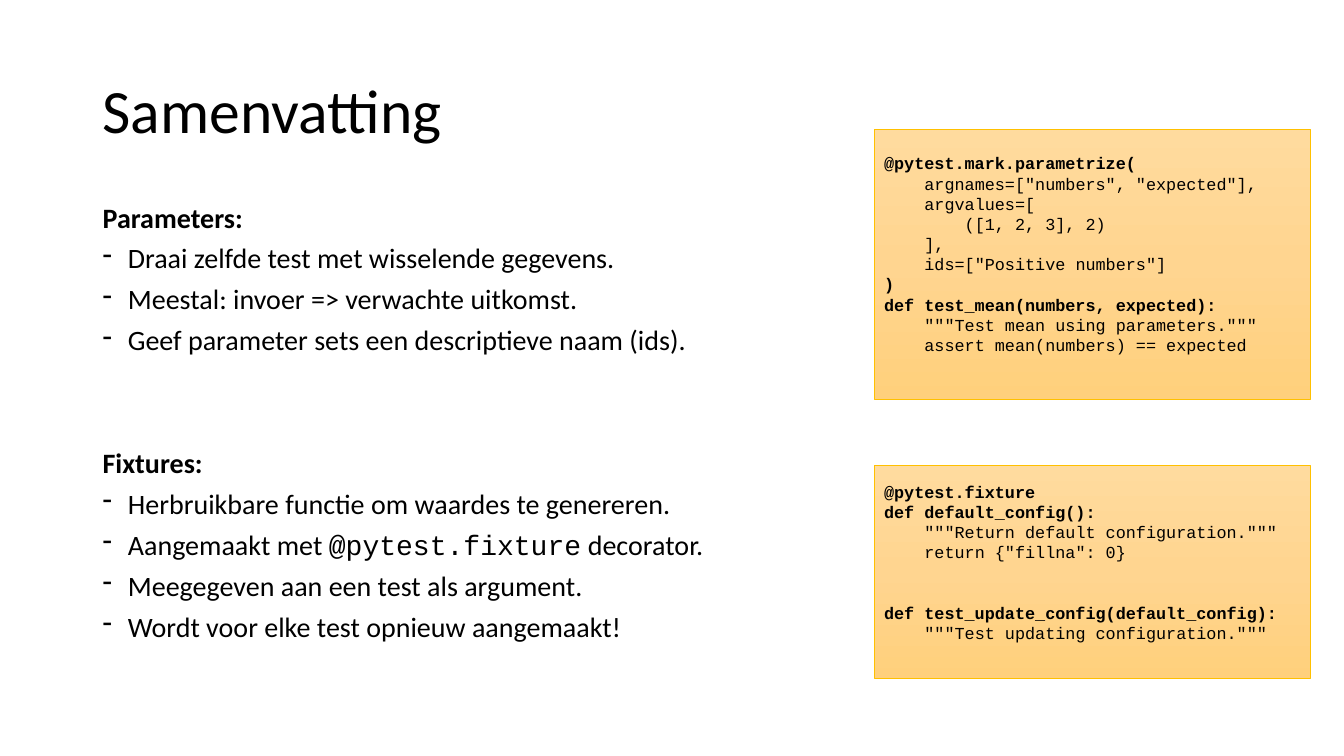
from copy import deepcopy

from lxml.etree import SubElement
from pptx import Presentation
from pptx.dml.color import RGBColor
from pptx.enum.shapes import MSO_SHAPE
from pptx.enum.text import MSO_ANCHOR, PP_ALIGN
from pptx.oxml.ns import qn
from pptx.util import Inches, Pt

TEXT_FONT, CODE_FONT = "Calibri", "Courier New"
BLACK, AMBER = "000000", "FFC000"
CODE_GRADIENT = ["FFDB9E", "FFD590", "FFD07C"]
CODE_LINE = 14.4
CODE_INDENT = 0.4

SECTIONS = [
    ("Parameters:", [
        "Draai zelfde test met wisselende gegevens.",
        "Meestal: invoer => verwachte uitkomst.",
        "Geef parameter sets een descriptieve naam (ids).",
    ]),
    ("Fixtures:", [
        "Herbruikbare functie om waardes te genereren.",
        "Aangemaakt met `@pytest.fixture` decorator.",
        "Meegegeven aan een test als argument.",
        "Wordt voor elke test opnieuw aangemaakt!",
    ]),
]

PARAMETRIZE_CODE = [[
    (0, '@pytest.mark.parametrize('),
    (1, 'argnames=["numbers", "expected"],'),
    (1, 'argvalues=['),
    (2, '([1, 2, 3], 2)'),
    (1, '],'),
    (1, 'ids=["Positive numbers"]'),
    (0, ')'),
    (0, 'def test_mean(numbers, expected):'),
    (1, '"""Test mean using parameters."""'),
    (1, 'assert mean(numbers) == expected'),
]]

FIXTURE_CODE = [
    [
        (0, '@pytest.fixture'),
        (0, 'def default_config():'),
        (1, '"""Return default configuration."""'),
        (1, 'return {"fillna": 0}'),
    ],
    [
        (0, 'def test_update_config(default_config):'),
        (1, '"""Test updating configuration."""'),
    ],
]


def rgb(value):
    """Turn a hex string into a colour."""
    return RGBColor.from_string(value)


def write(frame, text, size, font=TEXT_FONT, bold=False, spacing=1.0,
          before=0, indent=0, bullet=None):
    """Add one paragraph; parts between backticks get the code font."""
    paragraph = frame.paragraphs[0]
    if paragraph.runs:
        paragraph = frame.add_paragraph()
    paragraph.alignment = PP_ALIGN.LEFT
    paragraph.line_spacing = spacing
    paragraph.space_before = Pt(before)
    properties = paragraph._p.get_or_add_pPr()
    properties.set("marL", str(Inches(indent)))
    if bullet:
        properties.set("indent", str(-Inches(indent)))
        SubElement(properties, qn("a:buChar")).set("char", bullet)
    for position, part in enumerate(text.split("`")):
        run = paragraph.add_run()
        run.text = part
        run.font.name = CODE_FONT if position % 2 else font
        run.font.size = Pt(size)
        run.font.bold = bold
        run.font.color.rgb = rgb(BLACK)


def add_frame(slide, left, top, width, height, anchor=MSO_ANCHOR.TOP):
    """Add a wrapping text box and return its text frame."""
    box = slide.shapes.add_textbox(
        Inches(left), Inches(top), Inches(width), Inches(height))
    box.text_frame.word_wrap = True
    box.text_frame.vertical_anchor = anchor
    return box.text_frame


def add_summary(slide):
    """Add the headed lists of key points."""
    frame = add_frame(slide, 0.92, 2, 7.24, 4.76)
    for number, (heading, points) in enumerate(SECTIONS):
        write(frame, heading, 20, bold=True, spacing=0.8,
              before=68.5 if number else 10)
        for point in points:
            write(frame, point, 20, spacing=0.8, before=10,
                  indent=0.25, bullet="-")


def add_code(slide, top, height, blocks):
    """Add a shaded panel with code, its outer lines in bold."""
    panel = slide.shapes.add_shape(
        MSO_SHAPE.RECTANGLE, Inches(8.67), Inches(top), Inches(4.33), Inches(height))
    panel.shadow.inherit = False
    panel.line.color.rgb = rgb(AMBER)
    panel.line.width = Pt(0.5)
    panel.fill.gradient()
    panel.fill.gradient_angle = 270
    stops = panel._element.spPr.find(".//" + qn("a:gsLst"))
    stops.insert(1, deepcopy(stops[0]))
    for number, stop in enumerate(panel.fill.gradient_stops):
        stop.position = number / 2
        stop.color.rgb = rgb(CODE_GRADIENT[number])

    frame = panel.text_frame
    frame.word_wrap = True
    frame.vertical_anchor = MSO_ANCHOR.MIDDLE
    frame.margin_bottom = Inches(0.25)
    for block_number, block in enumerate(blocks):
        for line_number, (level, line) in enumerate(block):
            starts_later_block = block_number > 0 and line_number == 0
            write(frame, line, 12, font=CODE_FONT, bold=level == 0,
                  spacing=Pt(CODE_LINE), indent=level * CODE_INDENT,
                  before=2 * CODE_LINE if starts_later_block else 0)


def main():
    """Build the summary slide and save it."""
    presentation = Presentation()
    presentation.slide_width = Inches(13.33)
    presentation.slide_height = Inches(7.5)
    slide = presentation.slides.add_slide(presentation.slide_layouts[6])
    title = add_frame(slide, 0.92, 0.4, 11.5, 1.45, MSO_ANCHOR.MIDDLE)
    write(title, "Samenvatting", 44, spacing=0.9)
    add_summary(slide)
    add_code(slide, 1.28, 2.68, PARAMETRIZE_CODE)
    add_code(slide, 4.62, 2.11, FIXTURE_CODE)
    presentation.save("out.pptx")


if __name__ == "__main__":
    main()
